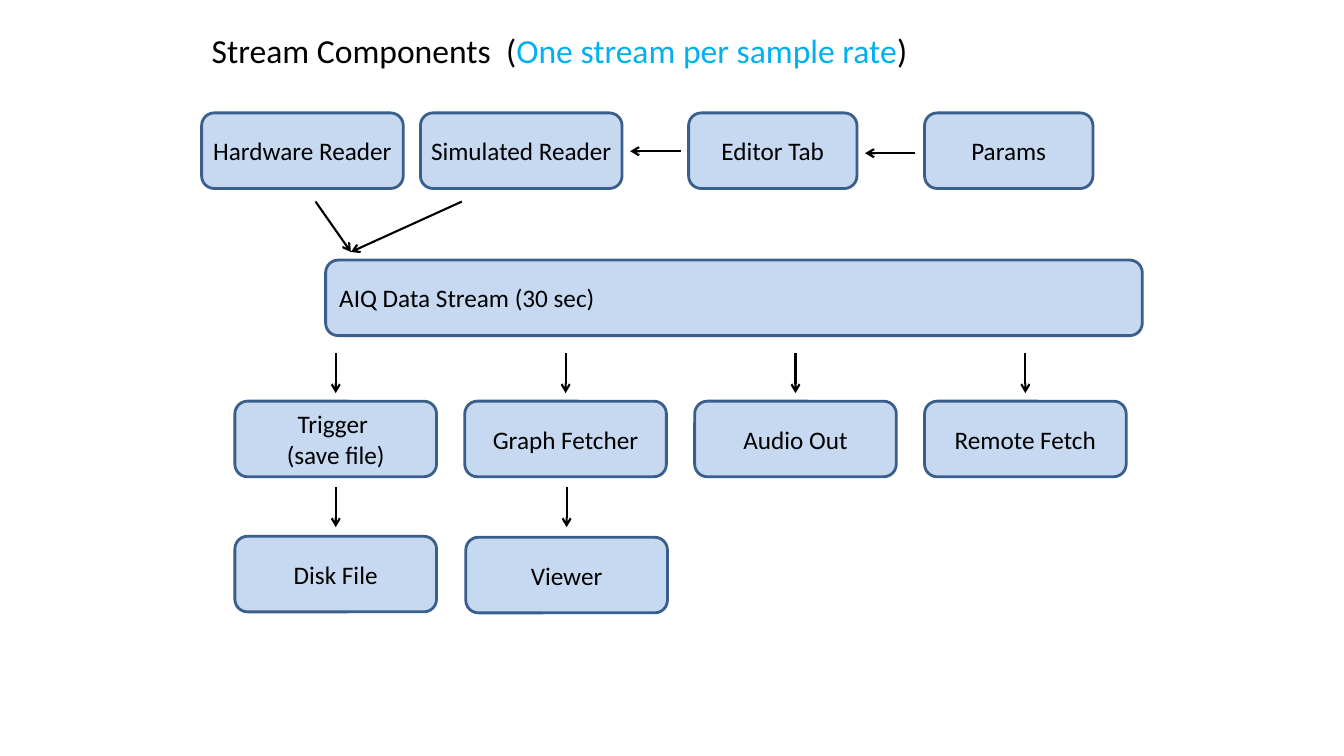
from pptx import Presentation
from pptx.util import Inches, Pt
from pptx.dml.color import RGBColor as Rgb
from pptx.enum.shapes import MSO_SHAPE as Shape, MSO_CONNECTOR as Link
from pptx.enum.text import PP_ALIGN as Align, MSO_ANCHOR as Anchor, MSO_AUTO_SIZE as Fit
from pptx.oxml.ns import qn
from lxml import etree

HUES = {"fill": "C6D9F1", "edge": "3A5F8C", "ink": "000000", "accent": "00B0F0"}
FONT = "Calibri"
HIGH = 0.75


def add_box(text, left, top, wide, align=Align.CENTER, pad=0.05):
    box = slide.shapes.add_shape(Shape.FLOWCHART_ALTERNATE_PROCESS,
                                 Inches(left), Inches(top), Inches(wide), Inches(HIGH))
    box.shadow.inherit = False
    box.fill.solid()
    box.fill.fore_color.rgb = Rgb.from_string(HUES["fill"])
    box.line.color.rgb = Rgb.from_string(HUES["edge"])
    box.line.width = Pt(2)
    frame = box.text_frame
    frame.word_wrap = True
    frame.vertical_anchor = Anchor.MIDDLE
    frame.margin_left = frame.margin_right = Inches(pad)
    frame.margin_top = frame.margin_bottom = Inches(0.05)
    frame.text = text
    for para in frame.paragraphs:
        para.alignment = align
        para.font.name = FONT
        para.font.size = Pt(18)
        para.font.color.rgb = Rgb.from_string(HUES["ink"])


def add_arrow(x1, y1, x2, y2):
    arrow = slide.shapes.add_connector(Link.STRAIGHT, Inches(x1), Inches(y1),
                                       Inches(x2), Inches(y2))
    arrow.line.color.rgb = Rgb.from_string(HUES["ink"])
    arrow.line.width = Pt(1.5)
    etree.SubElement(arrow.line._get_or_add_ln(), qn("a:tailEnd"), type="arrow")
    etree.SubElement(arrow._element.spPr, qn("a:effectLst"))


deck = Presentation()
deck.slide_width, deck.slide_height = Inches(13.33), Inches(7.5)
slide = deck.slides.add_slide(deck.slide_layouts[5])

# Title
title = slide.shapes.title
title.left, title.top = Inches(2), Inches(0.25)
title.width, title.height = Inches(7.83), Inches(0.84)
frame = title.text_frame
frame.word_wrap = True
frame.auto_size = Fit.NONE
frame.vertical_anchor = Anchor.TOP
para = frame.paragraphs[0]
para.alignment = Align.LEFT
para.font.name = FONT
para.font.size = Pt(24)
for text, hue in [("Stream Components  (", "ink"),
                  ("One stream per sample rate", "accent"), (")", "ink")]:
    run = para.add_run()
    run.text = text
    run.font.color.rgb = Rgb.from_string(HUES[hue])

# Sources
for text, left, wide in [("Hardware Reader", 2, 2), ("Simulated Reader", 4.17, 2),
                         ("Editor Tab", 6.83, 1.67), ("Params", 9.17, 1.67)]:
    add_box(text, left, 1.12, wide)
for left, y in [(6.25, 1.5), (8.58, 1.52)]:
    add_arrow(left + 0.5, y, left, y)

# Data stream, fed by both readers
add_box("AIQ Data Stream (30 sec)", 3.23, 2.58, 8.1, Align.LEFT, 0.1)
for x in (3.13, 4.58):
    add_arrow(x, 2, 3.48, 2.5)

# Consumers, each below an arrow from the stream
for col, text in enumerate(["Trigger \n(save file)", "Graph Fetcher",
                            "Audio Out", "Remote Fetch"]):
    left = 2.33 + 2.28 * col
    add_box(text, left, 3.98, 2)
    add_arrow(left + 1, 3.5, left + 1, 3.9)

# Final outputs
for text, left, top in [("Disk File", 2.33, 5.32), ("Viewer", 4.62, 5.33)]:
    add_box(text, left, top, 2)
    add_arrow(left + 1, 4.83, left + 1, 5.23)

deck.save("out.pptx")
